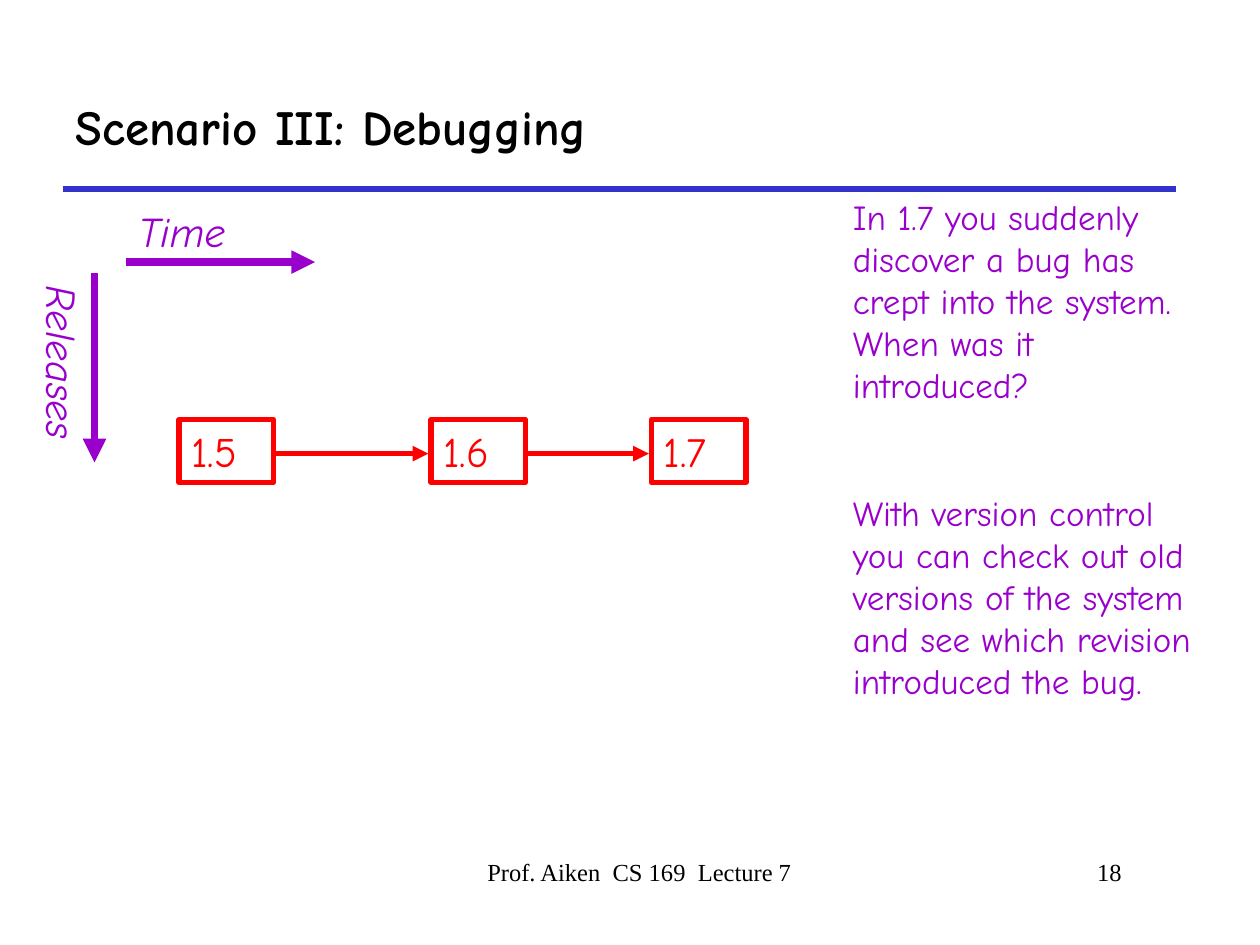
from dataclasses import dataclass

from pptx import Presentation
from pptx.dml.color import RGBColor
from pptx.enum.shapes import MSO_CONNECTOR as Connector, MSO_SHAPE as Preset
from pptx.enum.text import MSO_ANCHOR as Anchor, MSO_AUTO_SIZE as AutoSize, PP_ALIGN as Align
from pptx.oxml.ns import qn
from pptx.util import Inches, Pt


@dataclass(frozen=True)
class Theme:
    """Colours, fonts and sizes of the slide."""
    ink: str = "000000"
    rule: str = "3333CC"
    accent: str = "9900CC"
    version: str = "FF0000"
    hand: str = "Comic Neue"
    serif: str = "Times New Roman"
    title_size: float = 28
    label_size: float = 24
    comment_size: float = 20
    footer_size: float = 14
    line: float = 3
    axis_line: float = 4.5


THEME = Theme()

TITLE = "Scenario III: Debugging"
TITLE_BOX = (0.5, 0.5, 8.83, 1)
RULE = ((0.5, 1.5), (9.33, 1.5))
# Label, label box, rotation, arrow start, arrow end
AXES = [
    ("Time", (1, 1.58, 1.5, 0.5), 0, (1, 2.08), (2.5, 2.08)),
    ("Releases", (-0.33, 2.75, 1.67, 0.5), 90, (0.75, 2.17), (0.75, 3.67)),
]
VERSIONS = [("1.5", 1.42), ("1.6", 3.42), ("1.7", 5.17)]
VERSION_TOP, VERSION_WIDTH, VERSION_HEIGHT = 3.33, 0.75, 0.5
ARROW_Y, ARROW_GAP = 3.6, 0.02
COMMENTS = [
    "In 1.7 you suddenly discover a bug has crept into the system.  When was it introduced?",
    "With version control you can check out old versions of the system "
    "and see which revision introduced the bug.",
]
COMMENT_BOX = (6.67, 1.5, 3.08, 4.12)
COMMENT_GAP = 49
FOOTERS = [
    ("Prof. Aiken  CS 169  Lecture 7", (3.08, 6.75, 3.75, 0.5), Align.CENTER),
    ("18", (6.92, 6.75, 2.08, 0.5), Align.RIGHT),
]
FOOTER_INDENT = 0.24


def inches(values):
    """Turn plain numbers into lengths."""
    return [Inches(value) for value in values]


def write(shape, texts, size, color, font=THEME.hand, bold=False, italic=False,
          align=Align.LEFT, gap=0):
    """Fill a shape with evenly spaced paragraphs of one style."""
    frame = shape.text_frame
    frame.word_wrap = True
    frame.text = "\n".join(texts)
    for index, paragraph in enumerate(frame.paragraphs):
        paragraph.alignment = align
        paragraph.space_before = Pt(gap if index else 0)
        for run in paragraph.runs:
            style = run.font
            style.name, style.size = font, Pt(size)
            style.bold, style.italic = bold, italic
            style.color.rgb = RGBColor.from_string(color)


def add_text(slide, box, texts, size, color, **style):
    """Add a wrapping text box."""
    shape = slide.shapes.add_textbox(*inches(box))
    write(shape, texts, size, color, **style)
    return shape


def add_line(slide, start, end, color, width, arrow=False):
    """Add a straight line, with an arrowhead at its end if asked."""
    line = slide.shapes.add_connector(Connector.STRAIGHT, *inches(start + end))
    line.line.color.rgb = RGBColor.from_string(color)
    line.line.width = Pt(width)
    properties = line.line._get_or_add_ln()
    if arrow:
        head = properties.makeelement(qn("a:tailEnd"), {"type": "triangle"})
        properties.append(head)
    properties.addnext(properties.makeelement(qn("a:effectLst"), {}))


def add_title(slide):
    """Place and format the title."""
    title = slide.shapes.title
    title.left, title.top, title.width, title.height = inches(TITLE_BOX)
    write(title, [TITLE], THEME.title_size, THEME.ink, bold=True)
    title.text_frame.vertical_anchor = Anchor.MIDDLE
    title.text_frame.auto_size = AutoSize.NONE


def add_version(slide, name, left):
    """Add one outlined version box."""
    box = (left, VERSION_TOP, VERSION_WIDTH, VERSION_HEIGHT)
    shape = slide.shapes.add_shape(Preset.RECTANGLE, *inches(box))
    shape.shadow.inherit = False
    shape.fill.background()
    shape.line.color.rgb = RGBColor.from_string(THEME.version)
    shape.line.width = Pt(THEME.line)
    write(shape, [name], THEME.label_size, THEME.version)
    shape.text_frame.vertical_anchor = Anchor.TOP
    shape.text_frame.auto_size = AutoSize.SHAPE_TO_FIT_TEXT


def build():
    """Build and save the slide."""
    presentation = Presentation()
    presentation.slide_width, presentation.slide_height = inches((10, 7.5))
    slide = presentation.slides.add_slide(presentation.slide_layouts[5])

    add_line(slide, *RULE, THEME.rule, THEME.line)
    add_title(slide)

    for label, box, rotation, start, end in AXES:
        add_line(slide, start, end, THEME.accent, THEME.axis_line, arrow=True)
        shape = add_text(slide, box, [label], THEME.label_size, THEME.accent, italic=True)
        shape.rotation = rotation

    for name, left in VERSIONS:
        add_version(slide, name, left)
    for (_, left), (_, following) in zip(VERSIONS, VERSIONS[1:]):
        start = (left + VERSION_WIDTH + ARROW_GAP, ARROW_Y)
        end = (following - ARROW_GAP, ARROW_Y)
        add_line(slide, start, end, THEME.version, THEME.line, arrow=True)

    add_text(slide, COMMENT_BOX, COMMENTS, THEME.comment_size, THEME.accent, gap=COMMENT_GAP)

    for text, box, align in FOOTERS:
        shape = add_text(slide, box, [text], THEME.footer_size, THEME.ink,
                         font=THEME.serif, align=align)
        properties = shape.text_frame.paragraphs[0]._p.get_or_add_pPr()
        properties.set("marL", str(Inches(FOOTER_INDENT)))

    presentation.save("out.pptx")


build()
